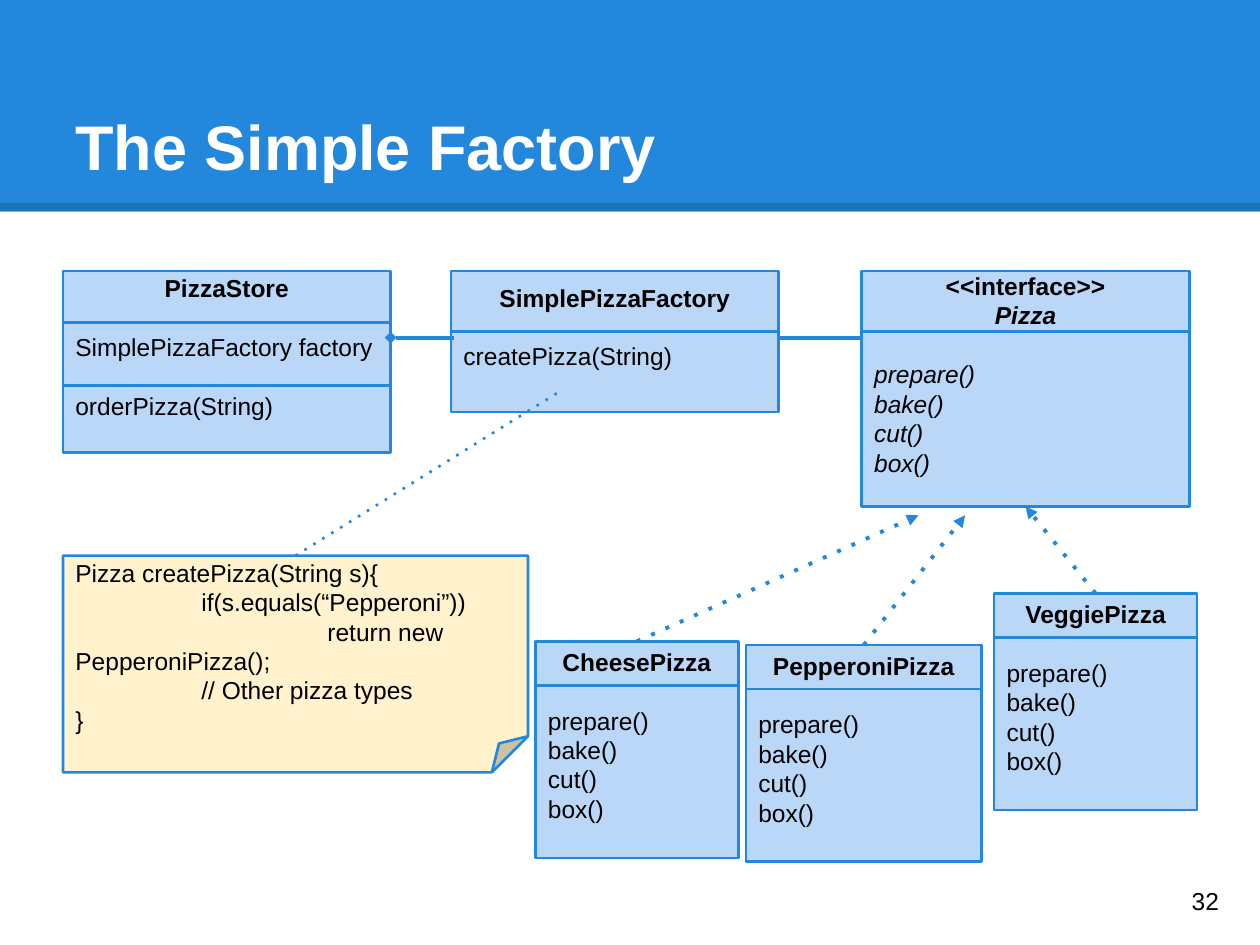
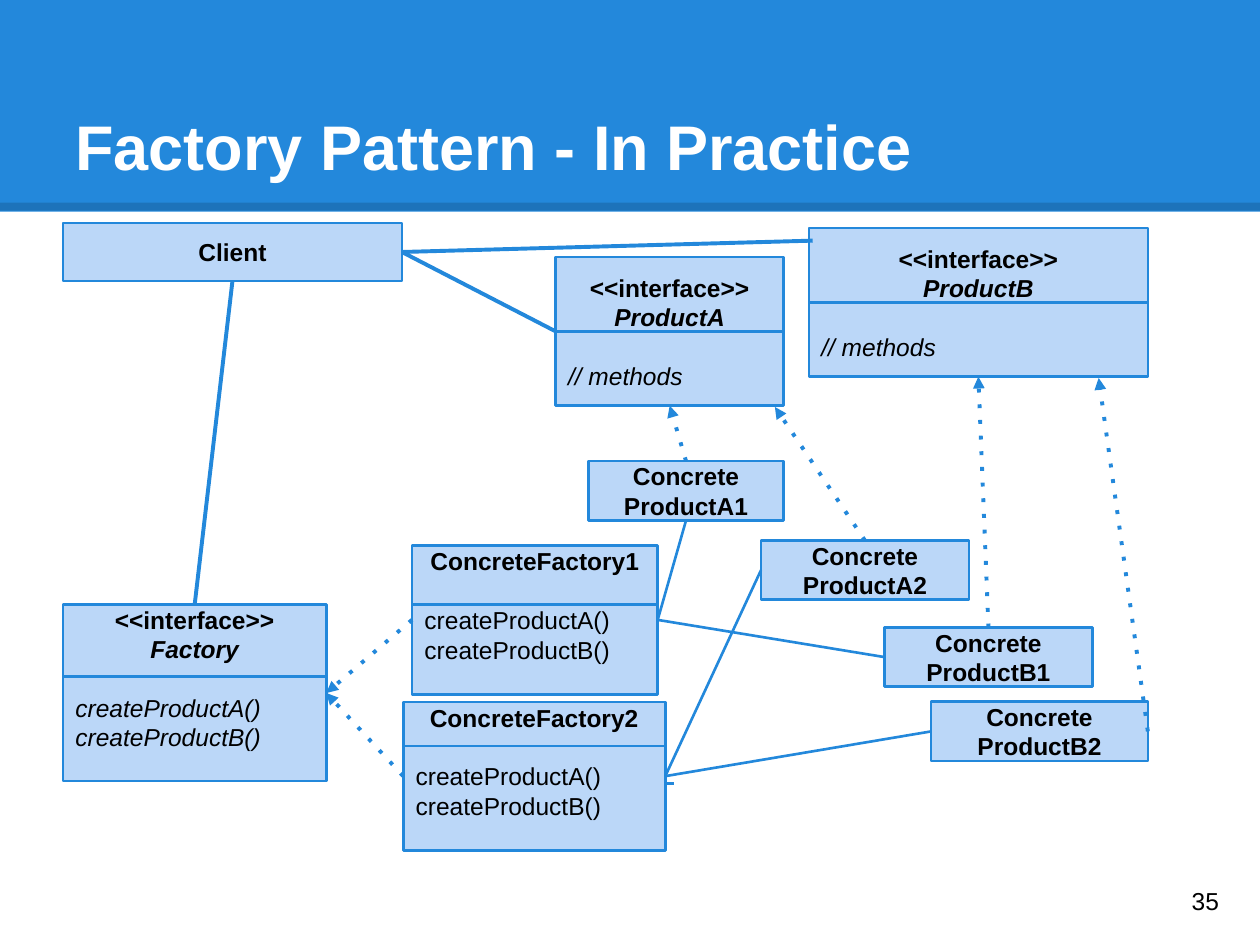
from dataclasses import dataclass

from lxml.etree import SubElement as Sub
from pptx import Presentation as Deck
from pptx.dml.color import RGBColor as Rgb
from pptx.enum.shapes import MSO_CONNECTOR as Wire, MSO_SHAPE as Form
from pptx.enum.text import MSO_ANCHOR as Anchor, PP_ALIGN as Align
from pptx.oxml.ns import qn
from pptx.util import Inches, Pt


@dataclass(frozen=True)
class Theme:
    font: str = "Arial"
    blue: str = "2388DB"
    pale: str = "BBD7F8"
    cream: str = "FFF2CC"
    ink: str = "000000"
    white: str = "FFFFFF"
    title: float = 36
    body: float = 14
    thin: float = 1.5
    thick: float = 2.25
    band: float = 4.5
    gap: float = 16.8  # points, one line of body text
    pad: float = 0.1
    cols: float = 10
    rows: float = 7.5


@dataclass(frozen=True)
class Box:
    """A rectangle in grid units; its properties are the middles of its sides."""
    x: float
    y: float
    w: float
    h: float

    @property
    def left(self):
        return self.x, self.y + self.h / 2

    @property
    def right(self):
        return self.x + self.w, self.y + self.h / 2

    @property
    def top(self):
        return self.x + self.w / 2, self.y

    @property
    def base(self):
        return self.x + self.w / 2, self.y + self.h


def write(frame, text, size=Theme.body, bold=False, ital=False,
          ink=Theme.ink, align=Align.LEFT, gap=0, dent=0):
    """Add one paragraph; gap is points before it, dent its first-line indent in inches."""
    para = frame.paragraphs[0]
    if para.runs:
        para = frame.add_paragraph()
    props = para._p.get_or_add_pPr()
    props.set("marL", "0")
    props.set("indent", str(Inches(dent)))
    para.alignment = align
    if gap:
        para.space_before = Pt(gap)
    run = para.add_run()
    run.text = text
    font = run.font
    font.name, font.size = Theme.font, Pt(size)
    font.bold, font.italic = bold, ital
    font.color.rgb = Rgb.from_string(ink)


class Page:
    """Holds the theme, the deck and the slide being drawn."""

    def __init__(self, theme):
        self.look = theme
        self.deck = Deck()
        self.deck.slide_width, self.deck.slide_height = Inches(10), Inches(7.5)
        self.slide = None

    def spot(self, x, y):
        """Turn a column and a row of the grid into slide lengths."""
        return (round(x * self.deck.slide_width / self.look.cols),
                round(y * self.deck.slide_height / self.look.rows))

    def area(self, box):
        return *self.spot(box.x, box.y), *self.spot(box.w, box.h)

    def frame(self, shape, anchor, tail=0):
        """Set up a text frame with tail free lines below the text."""
        frame = shape.text_frame
        frame.word_wrap, frame.vertical_anchor = True, anchor
        pad = Inches(self.look.pad)
        frame.margin_left = frame.margin_right = frame.margin_top = pad
        frame.margin_bottom = pad + Pt(tail * self.look.gap)
        return frame

    def start(self, title, number):
        look = self.look
        self.slide = self.deck.slides.add_slide(self.deck.slide_layouts[6])
        self.shape(Box(0, 0, look.cols, 1.68), look.blue, edge=None)
        self.line((0, 1.64), (look.cols, 1.64), look.band, ink=look.ink, alpha=15)
        self.label(Box(0.5, 0.3, 9, 1.25), title, Anchor.BOTTOM,
                   size=look.title, bold=True, ink=look.white)
        self.label(Box(9.36, 6.93, 0.6, 0.57), str(number), Anchor.TOP)

    def label(self, box, text, anchor, **style):
        shape = self.slide.shapes.add_textbox(*self.area(box))
        write(self.frame(shape, anchor), text, **style)

    def shape(self, box, fill, form=Form.RECTANGLE, edge=Theme.blue):
        shape = self.slide.shapes.add_shape(form, *self.area(box))
        shape.shadow.inherit = False
        shape.fill.solid()
        shape.fill.fore_color.rgb = Rgb.from_string(fill)
        if edge:
            shape.line.color.rgb = Rgb.from_string(edge)
            shape.line.width = Pt(self.look.thin)
        else:
            shape.line.fill.background()
        return shape

    def line(self, start, end, width=Theme.thin, ink=Theme.blue,
             alpha=None, dots=False, head=None, tail=None):
        wire = self.slide.shapes.add_connector(
            Wire.STRAIGHT, *self.spot(*start), *self.spot(*end))
        wire.line.color.rgb = Rgb.from_string(ink)
        wire.line.width = Pt(width)
        props = wire._element.spPr
        pen = props.find(qn("a:ln"))
        if alpha:
            tint = pen.find(".//" + qn("a:srgbClr"))
            Sub(tint, qn("a:alpha"), val=str(alpha * 1000))
        if dots:
            Sub(pen, qn("a:prstDash"), val="dot")
        for tag, kind in (("a:headEnd", head), ("a:tailEnd", tail)):
            if kind:
                Sub(pen, qn(tag), type=kind)
        Sub(props, qn("a:effectLst"))

    def link(self, start, end, **style):
        self.line(start, end, self.look.thick, **style)

    def real(self, start, end):
        """Draw the dotted arrow from a class to the type it realizes."""
        self.link(start, end, dots=True, tail="triangle")

    def card(self, box, heads, *groups, cuts=(), face=False, tail=1):
        """Draw a class box: bold heads, groups of members, rules at cuts below its top.

        face marks an interface, with its name and members in italics.
        """
        if face:
            heads = ("<<interface>>", *heads)
        shape = self.shape(box, self.look.pale)
        frame = self.frame(shape, Anchor.MIDDLE, tail if groups else 0)
        for i, head in enumerate(heads):
            write(frame, head, bold=True, ital=face and i > 0, align=Align.CENTER)
        for group in groups:
            for i, item in enumerate(group):
                write(frame, item, ital=face, gap=0 if i else self.look.gap)
        for cut in cuts:
            y = box.y + cut
            self.line((box.x, y), (box.x + box.w, y))
        return box

    def note(self, box, rows):
        """Draw a folded note with rows of (indent level, code)."""
        shape = self.shape(box, self.look.cream, Form.FOLDED_CORNER)
        frame = self.frame(shape, Anchor.MIDDLE)
        for level, code in rows:
            write(frame, code, dent=level)
        return box


def simple(page):
    page.start("The Simple Factory", 32)
    steps = ("prepare()", "bake()", "cut()", "box()")
    top, wide = 2.15, 2.6
    page.card(Box(0.5, top, wide, 1.44), ["PizzaStore"],
              ["SimplePizzaFactory factory"], ["orderPizza(String)"],
              cuts=(0.41, 0.91))
    page.card(Box(3.58, top, wide, 1.12), ["SimplePizzaFactory"],
              ["createPizza(String)"], cuts=[0.48])
    page.link((3.1, 2.68), (3.6, 2.68), head="diamond")
    page.card(Box(6.84, top, wide, 1.87), ["Pizza"], steps, cuts=[0.48], face=True)
    page.link((6.18, 2.68), (6.85, 2.68))

    pizzas = (("CheesePizza", 4.25, 5.09, 1.61, (7.29, 4.09)),
              ("PepperoniPizza", 5.92, 5.12, 1.87, (7.66, 4.09)),
              ("VeggiePizza", 7.89, 4.71, 1.61, (8.14, 4.02)))
    for name, x, y, w, goal in pizzas:
        box = page.card(Box(x, y, w, 1.72), [name], steps, cuts=[0.35])
        page.real(box.top, goal)

    note = page.note(Box(0.5, 4.41, 3.69, 1.72), (
        (0, "Pizza createPizza(String s){"),
        (1, "if(s.equals(“Pepperoni”))"),
        (2, "return new PepperoniPizza();"),
        (1, "// Other pizza types"),
        (0, "}")))
    page.line(note.top, (4.47, 3.09), dots=True)


def family(page):
    page.start("Factory Pattern - In Practice", 35)
    makes = ("createProductA()", "createProductB()")
    tall = 1.18
    client = page.card(Box(0.5, 1.77, 2.69, 0.46), ["Client"])
    prod = page.card(Box(4.41, 2.04, 1.81, tall), ["ProductA"], ["// methods"],
                     cuts=[tall / 2], face=True, tail=0)
    plant = page.card(Box(0.5, 4.8, 2.09, 1.4), ["Factory"], makes,
                      cuts=[0.57], face=True)
    one = page.card(Box(3.27, 4.33, 1.95, tall), ["ConcreteFactory1"], makes,
                    cuts=[0.47])
    page.line((3.27, 6.22), (5.35, 6.22))
    two = page.card(Box(3.2, 5.57, 2.08, tall), ["ConcreteFactory2"], makes,
                    cuts=[0.35])
    other = page.card(Box(6.42, 1.81, 2.69, tall), ["ProductB"], ["// methods"],
                      cuts=[tall / 2], face=True, tail=0)

    spots = {"A1": (4.67, 3.66, 1.55), "A2": (6.04, 4.29, 1.65),
             "B1": (7.02, 4.98, 1.65), "B2": (7.39, 5.57, 1.72)}
    goods = {key: page.card(Box(*spot, 0.47), ["Concrete", "Product" + key])
             for key, spot in spots.items()}

    for start, end in ((goods["A1"].top, prod.base),
                       (goods["A2"].top, (6.15, 3.23)),
                       (goods["B1"].top, other.base),
                       (goods["B2"].right, (8.72, 3)),
                       (one.left, plant.right),
                       (two.left, plant.right)):
        page.real(start, end)
    for start, end in ((client.base, plant.top),
                       (client.right, prod.left),
                       (client.right, (6.45, 1.91))):
        page.link(start, end)
    for start, end in ((one.right, goods["A1"].base),
                       (one.right, goods["B1"].left),
                       (two.right, goods["A2"].left),
                       (two.right, goods["B2"].left)):
        page.line(start, end)


def main():
    page = Page(Theme())
    simple(page)
    family(page)
    page.deck.save("out.pptx")


if __name__ == "__main__":
    main()
